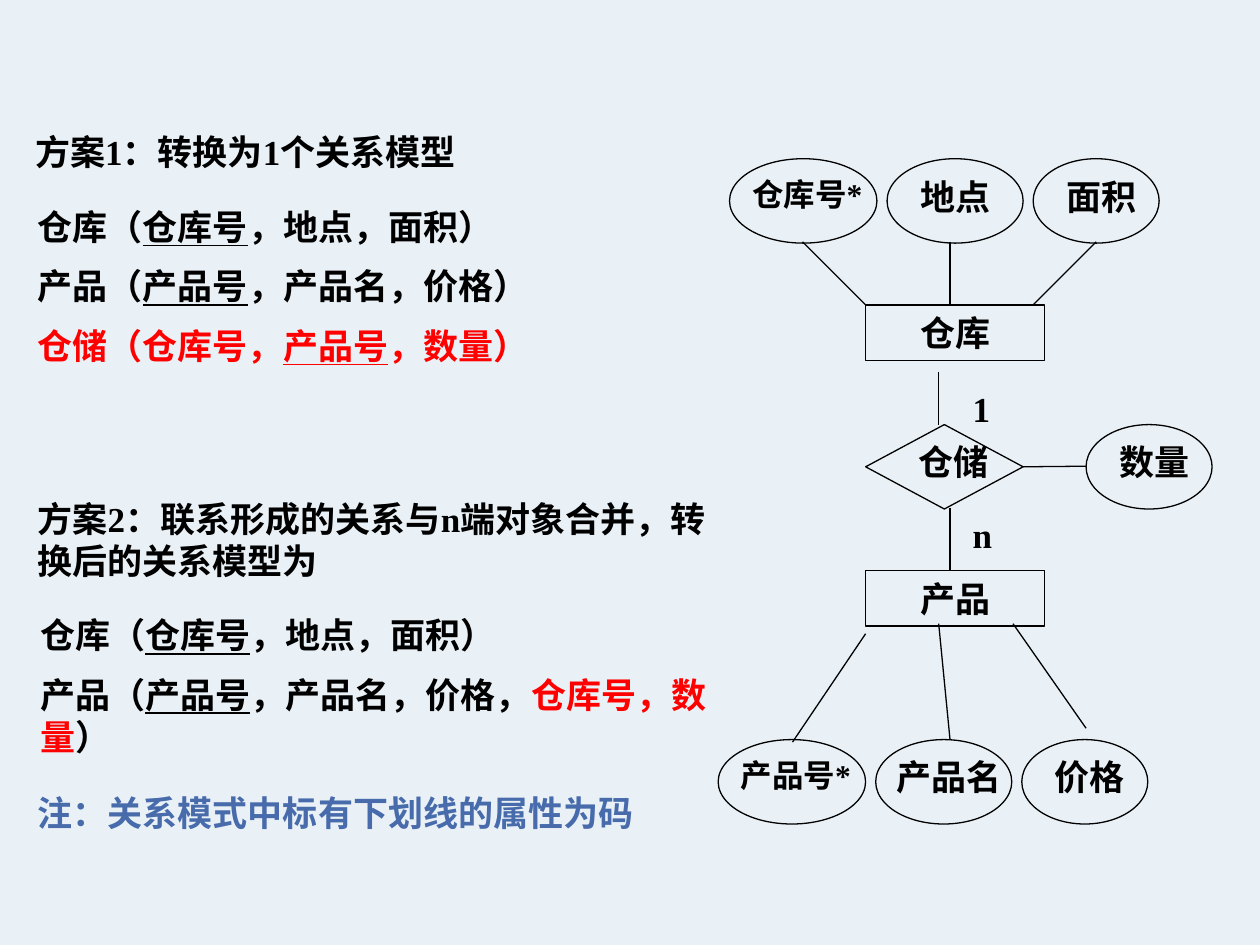
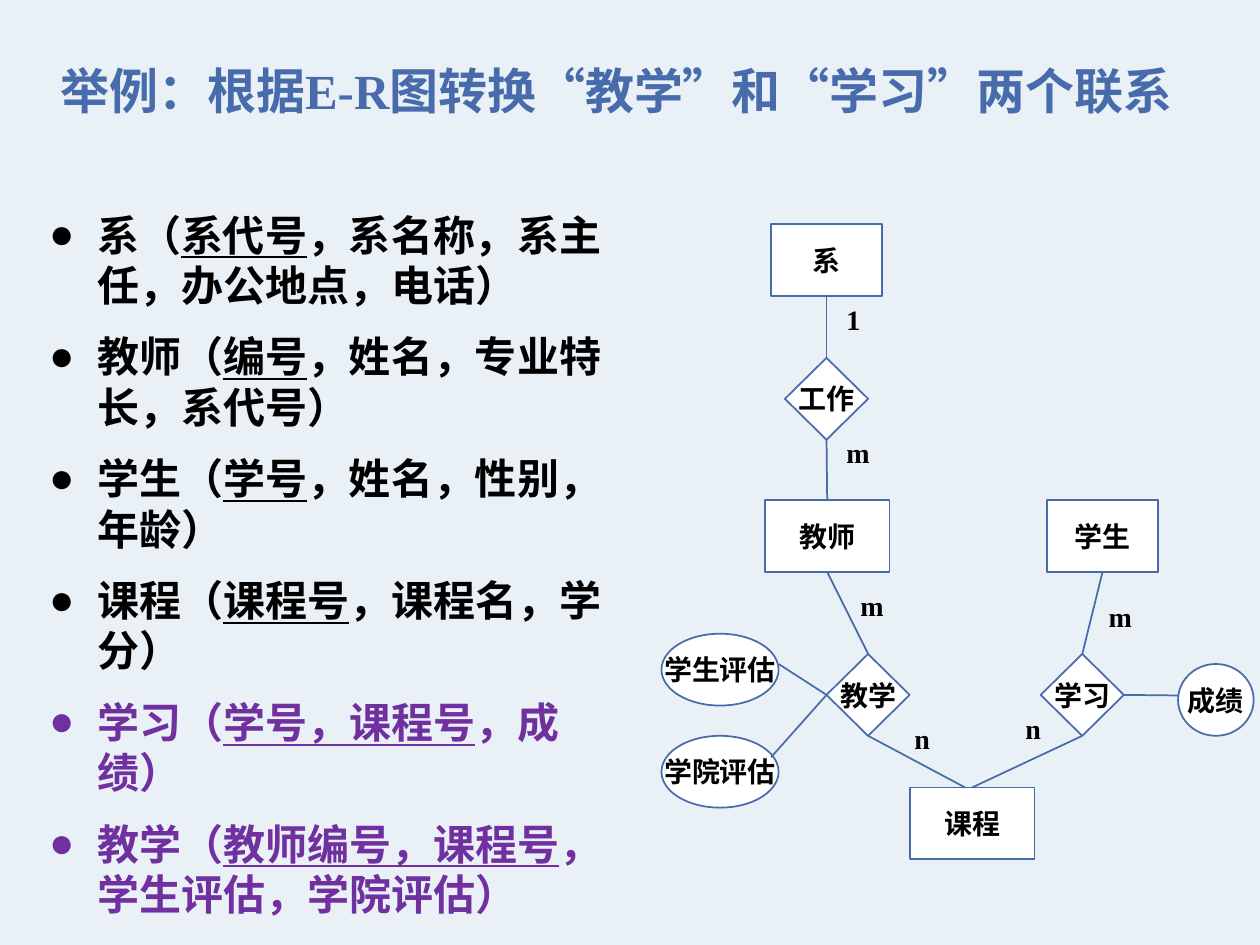
from lxml.etree import SubElement
from pptx import Presentation
from pptx.dml.color import RGBColor
from pptx.enum.shapes import MSO_CONNECTOR, MSO_SHAPE
from pptx.enum.text import MSO_ANCHOR, MSO_AUTO_SIZE, PP_ALIGN
from pptx.oxml.ns import qn
from pptx.util import Inches, Pt

COLORS = {"back": "EAF1F6", "ink": "000000", "blue": "476BAB",
          "red": "FF0000", "purple": "7030A0", "white": "FFFFFF"}
FONT = "Times New Roman"
TOP, LEFT, BOTTOM, RIGHT = range(4)


def rgb(name):
    return RGBColor.from_string(COLORS[name])


def place(box, x, y, w, h):
    return [Inches(v) for v in (box[0] + x, box[1] + y, w, h)]


def add_runs(p, text, size, color, accent):
    for i, part in enumerate(text.split("|")):
        for j, piece in enumerate(part.split("_")):
            if piece:
                r = p.add_run()
                r.text = piece
                r.font.name, r.font.size, r.font.bold = FONT, Pt(size), True
                r.font.underline = j % 2 == 1
                r.font.color.rgb = rgb(accent if i % 2 else color)


def write(tf, paras, size=20, color="ink", accent="red", align=PP_ALIGN.LEFT,
          bullet=None):
    tf.word_wrap = True
    tf.auto_size = MSO_AUTO_SIZE.NONE
    for i, text in enumerate(paras):
        p = tf.add_paragraph() if i else tf.paragraphs[0]
        p.alignment = align
        p.space_before = Pt(size / 2 if i else 0)
        if bullet:
            pPr = p._p.get_or_add_pPr()
            pPr.set("marL", str(Inches(0.38)))
            pPr.set("indent", str(-Inches(0.38)))
            SubElement(pPr, qn("a:buChar")).set("char", bullet)
        add_runs(p, text, size, color, accent)


def add_text(s, at, paras, **style):
    tb = s.shapes.add_textbox(*at)
    write(tb.text_frame, paras, **style)


def add_node(s, kind, at, text="", size=20, line="ink", width=0.75, fill=None):
    sp = s.shapes.add_shape(kind, *at)
    sp.shadow.inherit = False
    if fill:
        sp.fill.solid()
        sp.fill.fore_color.rgb = rgb(fill)
    else:
        sp.fill.background()
    sp.line.color.rgb, sp.line.width = rgb(line), Pt(width)
    if text:
        tf = sp.text_frame
        write(tf, [text], size=size, align=PP_ALIGN.CENTER)
        tf.word_wrap = False
        tf.vertical_anchor = MSO_ANCHOR.MIDDLE
    return sp


def add_line(s, box, x1, y1, x2, y2, color="ink", width=0.75):
    ends = [Inches(v) for v in (box[0] + x1, box[1] + y1, box[0] + x2, box[1] + y2)]
    c = s.shapes.add_connector(MSO_CONNECTOR.STRAIGHT, *ends)
    c.line.color.rgb, c.line.width = rgb(color), Pt(width)
    SubElement(c._element.spPr, qn("a:effectLst"))
    return c


def schemes(s, box):
    blocks = [
        (0, 0, 7.83, 0.44, "ink", ["方案1：转换为1个关系模型"]),
        (0.02, 0.59, 4.75, 1.45, "ink", [
            "仓库（_仓库号_，地点，面积）",
            "产品（_产品号_，产品名，价格）",
            "|仓储（仓库号，_产品号_，数量）|"]),
        (0.02, 2.91, 5.59, 0.77, "ink",
         ["方案2：联系形成的关系与n端对象合并，转换后的关系模型为"]),
        (0.04, 3.83, 5.92, 0.94, "ink", [
            "仓库（_仓库号_，地点，面积）",
            "产品（_产品号_，产品名，价格，|仓库号，数量|）"]),
        (0.02, 5.24, 6.01, 0.44, "blue", ["注：关系模式中标有下划线的属性为码"]),
    ]
    for x, y, w, h, color, paras in blocks:
        add_text(s, place(box, x, y, w, h), paras, color=color)


def attribute(s, box, x, y, w, name, label_w=1.08):
    add_node(s, MSO_SHAPE.OVAL, place(box, x, y, w, 0.67))
    if name.endswith("*"):
        add_text(s, place(box, x + 0.08, y + 0.08, 1.25, 0.4), [name], size=18)
    else:
        add_text(s, place(box, x, y + 0.08, label_w, 0.44), [name],
                 align=PP_ALIGN.CENTER)


def attribute_row(s, box, x, y, names, middle_label):
    for name, w, label_w in zip(names, (1.17, 1.08, 1), (1.25, middle_label, 1.08)):
        attribute(s, box, x, y, w, name, label_w)
        x += w + 0.08


def storage_diagram(s, box):
    attribute_row(s, box, 0.09, 0, ("仓库号*", "地点", "面积"), 1.08)
    attribute_row(s, box, 0, 4.61, ("产品号*", "产品名", "价格"), 1.17)
    attribute(s, box, 2.92, 2.11, 1, "数量")
    for y, name in ((1.16, "仓库"), (3.27, "产品")):
        add_node(s, MSO_SHAPE.RECTANGLE, place(box, 1.17, y, 1.42, 0.44), name)
    store = add_node(s, MSO_SHAPE.FLOWCHART_DECISION,
                     place(box, 1.17, 2.11, 1.25, 0.67))
    add_text(s, place(box, 1.34, 2.19, 1.06, 0.44), ["仓储"], align=PP_ALIGN.CENTER)
    for y, count in ((1.77, "1"), (2.77, "n")):
        add_text(s, place(box, 1.92, y, 0.42, 0.44), [count])
    for ends in ((0.67, 0.66, 1.17, 1.16), (1.84, 0.66, 1.84, 1.16),
                 (3, 0.66, 2.5, 1.16), (1.75, 1.69, 1.75, 2.11),
                 (1.84, 2.77, 1.84, 3.27), (1.17, 3.77, 0.59, 4.63),
                 (1.75, 3.69, 1.84, 4.61), (2.34, 3.69, 2.92, 4.52)):
        add_line(s, box, *ends)
    add_line(s, box, 2.42, 2.44, 2.92, 2.44).begin_connect(store, RIGHT)


def teaching_diagram(s, box):
    sizes = {MSO_SHAPE.RECTANGLE: 0.57, MSO_SHAPE.OVAL: 0.57,
             MSO_SHAPE.FLOWCHART_DECISION: 0.65}
    rect, oval, diamond = sizes
    nodes = {}
    for name, kind, x, y, w in (
            ("系", rect, 0.87, 0, 0.88), ("教师", rect, 0.82, 2.19, 0.99),
            ("学生", rect, 3.06, 2.19, 0.88), ("课程", rect, 1.97, 4.47, 0.99),
            ("工作", diamond, 0.98, 1.06, 0.66), ("教学", diamond, 1.31, 3.41, 0.66),
            ("学习", diamond, 3.01, 3.41, 0.66), ("成绩", oval, 4.1, 3.49, 0.6),
            ("学生评估", oval, 0, 3.25, 0.93), ("学院评估", oval, 0, 4.06, 0.93)):
        nodes[name] = add_node(s, kind, place(box, x, y, w, sizes[kind]), name,
                               size=16, line="blue", width=1, fill="white")
    for upper, lower in (("系", "工作"), ("工作", "教师"), ("教师", "教学"),
                         ("学生", "学习"), ("学习", "课程")):
        c = add_line(s, box, 0, 0, 1, 1, "blue", 1)
        c.begin_connect(nodes[upper], BOTTOM)
        c.end_connect(nodes[lower], TOP)
    for name, side, x, y in (("教学", BOTTOM, 2.41, 4.47), ("教学", LEFT, 0.93, 3.49),
                             ("教学", LEFT, 0.87, 4.23), ("学习", RIGHT, 4.1, 3.74)):
        c = add_line(s, box, x, y, x, y, "blue", 1)
        c.begin_connect(nodes[name], side)
    for count, x, y in (("1", 1.37, 0.57), ("m", 1.37, 1.63), ("m", 1.48, 2.84),
                        ("m", 3.45, 2.93), ("n", 1.91, 3.9), ("n", 2.79, 3.82)):
        add_text(s, place(box, x, y, 0.44, 0.37), [count], size=16)


def set_placeholder(ph, at, paras, anchor, **style):
    ph.left, ph.top, ph.width, ph.height = at
    write(ph.text_frame, paras, **style)
    ph.text_frame.vertical_anchor = anchor


def storage_slide(prs):
    s = prs.slides.add_slide(prs.slide_layouts[6])
    schemes(s, (0.18, 0.99))
    storage_diagram(s, (5.7, 1.26))


def teaching_slide(prs):
    s = prs.slides.add_slide(prs.slide_layouts[1])
    set_placeholder(s.shapes.title, place((0.38, 0.43), 0, 0, 9.64, 0.57),
                    ["举例：根据E-R图转换“教学”和“学习”两个联系"],
                    MSO_ANCHOR.BOTTOM, size=28, color="blue")
    relations = ["系（_系代号_，系名称，系主任，办公地点，电话）",
                 "教师（_编号_，姓名，专业特长，系代号）",
                 "学生（_学号_，姓名，性别，年龄）",
                 "课程（_课程号_，课程名，学分）",
                 "|学习（_学号，课程号_，成绩）|",
                 "|教学（_教师编号，课程号_，学生评估，学院评估）|"]
    set_placeholder(s.placeholders[1], place((0.29, 1.61), 0, 0, 4.71, 5.55),
                    relations, MSO_ANCHOR.TOP, size=24, accent="purple", bullet="●")
    teaching_diagram(s, (5.25, 1.78))


def main():
    prs = Presentation()
    prs.slide_width, prs.slide_height = Inches(10), Inches(7.5)
    fill = prs.slide_master.background.fill
    fill.solid()
    fill.fore_color.rgb = rgb("back")
    storage_slide(prs)
    teaching_slide(prs)
    prs.save("out.pptx")


if __name__ == "__main__":
    main()
